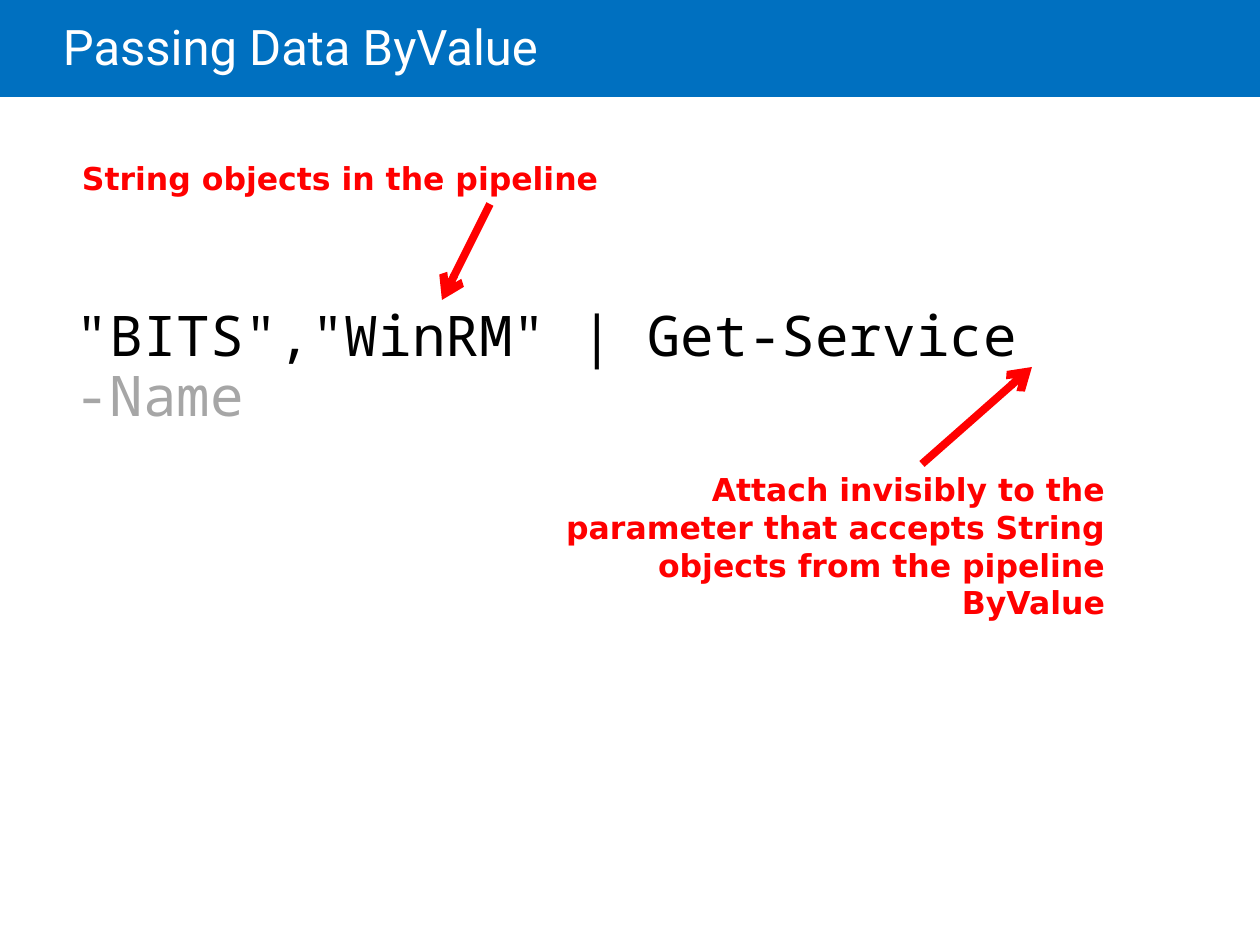
from pptx import Presentation
from pptx.dml.color import RGBColor as Rgb
from pptx.enum.shapes import MSO_CONNECTOR as Conn, MSO_SHAPE as Shape
from pptx.enum.text import MSO_ANCHOR as Anchor, PP_ALIGN as Align
from pptx.oxml.ns import qn
from pptx.util import Pt
from lxml import etree

PX = 914400 // 126
HUES = {"bar": "0070C0", "title": "FFFFFF", "code": "000000",
        "dim": "A6A6A6", "note": "FF0000"}

deck = Presentation()
deck.slide_width, deck.slide_height = 1260 * PX, 945 * PX
slide = deck.slides.add_slide(deck.slide_layouts[6])


def add_text(box, runs, size, font, bold=False, align=Align.LEFT,
             anchor=Anchor.TOP, pad=(13, 6, 13, 6), gap=1.0):
    """Place a text box; runs holds (text, hue) pairs."""
    frame = slide.shapes.add_textbox(*(n * PX for n in box)).text_frame
    frame.word_wrap = True
    frame.vertical_anchor = anchor
    (frame.margin_left, frame.margin_top,
     frame.margin_right, frame.margin_bottom) = (n * PX for n in pad)
    para = frame.paragraphs[0]
    para.alignment, para.line_spacing = align, gap
    for text, hue in runs:
        run = para.add_run()
        run.text = text
        run.font.size, run.font.name, run.font.bold = Pt(size), font, bold
        run.font.color.rgb = Rgb.from_string(HUES[hue])


# Title bar
bar = slide.shapes.add_shape(Shape.RECTANGLE, 0, 0, 1260 * PX, 97 * PX)
bar.shadow.inherit = False
bar.fill.solid()
bar.fill.fore_color.rgb = Rgb.from_string(HUES["bar"])
bar.line.fill.background()
add_text((63, 0, 1071, 102), [("Passing Data ByValue", "title")], 28, "Roboto",
         anchor=Anchor.MIDDLE, pad=(0, 6, 13, 6), gap=0.85)

# Command line
add_text((63, 302, 1119, 150),
         [('"BITS","WinRM" | Get-Service ', "code"), ("-Name", "dim")],
         32, "Noto Sans Mono", gap=0.9)

# Notes, each with its arrow
notes = [
    ("String objects in the pipeline",
     (69, 153, 604, 50), Align.LEFT, (490, 204, 442, 300)),
    ("Attach invisibly to the parameter that accepts String objects "
     "from the pipeline ByValue",
     (514, 464, 604, 165), Align.RIGHT, (922, 464, 1032, 367)),
]
for text, box, align, ends in notes:
    add_text(box, [(text, "note")], 18, "DejaVu Sans", bold=True, align=align)
    arrow = slide.shapes.add_connector(Conn.STRAIGHT, *(n * PX for n in ends))
    arrow.line.width = Pt(4.5)
    arrow.line.color.rgb = Rgb.from_string(HUES["note"])
    etree.SubElement(arrow.line._get_or_add_ln(), qn("a:tailEnd"), type="arrow")
    etree.SubElement(arrow._element.spPr, qn("a:effectLst"))

deck.save("out.pptx")
